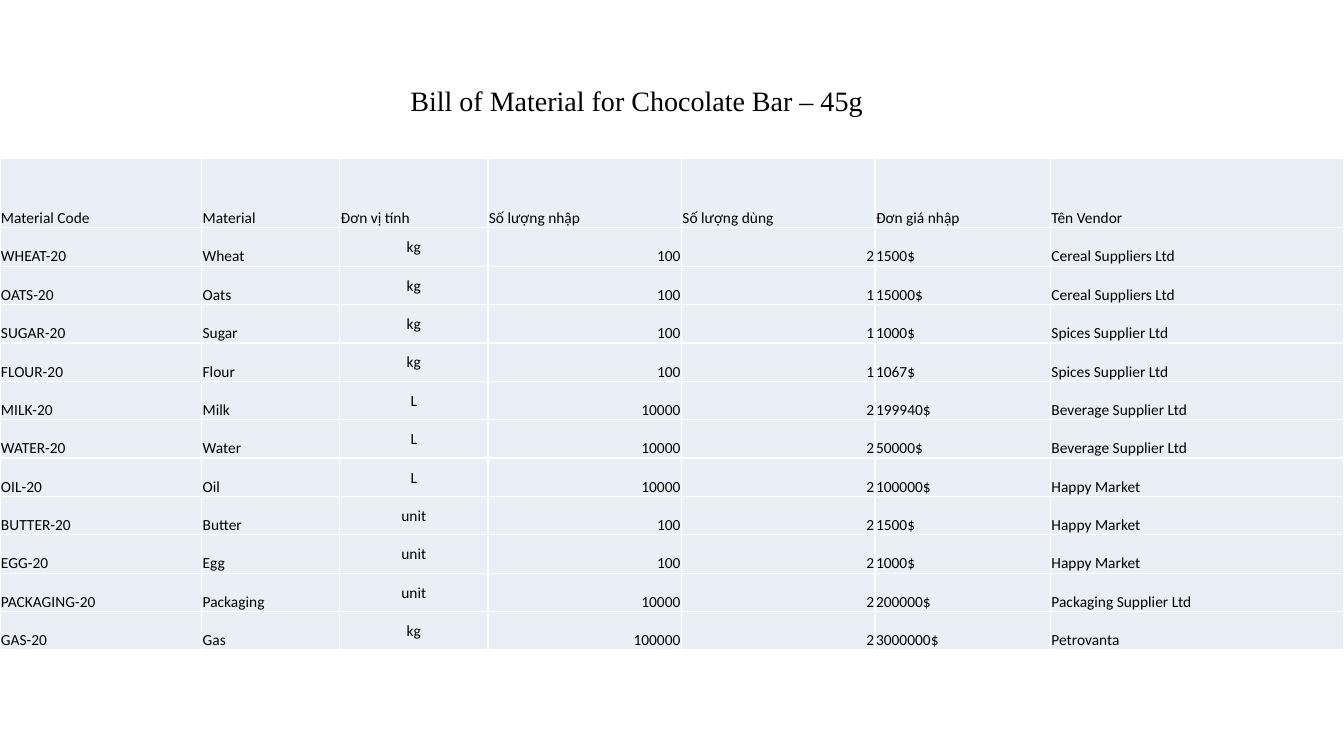
from lxml.etree import SubElement
from pptx import Presentation
from pptx.dml.color import RGBColor
from pptx.enum.text import MSO_ANCHOR, PP_ALIGN
from pptx.oxml.ns import qn
from pptx.util import Inches, Pt

TITLE = "Bill of Material for Chocolate Bar – 45g"
HEADER = ("Material Code", "Material", "Đơn vị tính", "Số lượng nhập",
          "Số lượng dùng", "Đơn giá nhập", "Tên Vendor")
MATERIALS = [
    ("WHEAT-20", "Wheat", "kg", "100", "2", "1500$", "Cereal Suppliers Ltd"),
    ("OATS-20", "Oats", "kg", "100", "1", "15000$", "Cereal Suppliers Ltd"),
    ("SUGAR-20", "Sugar", "kg", "100", "1", "1000$", "Spices Supplier Ltd"),
    ("FLOUR-20", "Flour", "kg", "100", "1", "1067$", "Spices Supplier Ltd"),
    ("MILK-20", "Milk", "L", "10000", "2", "199940$", "Beverage Supplier Ltd"),
    ("WATER-20", "Water", "L", "10000", "2", "50000$", "Beverage Supplier Ltd"),
    ("OIL-20", "Oil", "L", "10000", "2", "100000$", "Happy Market"),
    ("BUTTER-20", "Butter", "unit", "100", "2", "1500$", "Happy Market"),
    ("EGG-20", "Egg", "unit", "100", "2", "1000$", "Happy Market"),
    ("PACKAGING-20", "Packaging", "unit", "10000", "2", "200000$", "Packaging Supplier Ltd"),
    ("GAS-20", "Gas", "kg", "100000", "2", "3000000$", "Petrovanta"),
]
COLORS = {"text": "000000", "cell": "EAEFF7", "border": "FFFFFF"}
COLUMN_WIDTHS = (2, 1.37, 1.47, 1.92, 1.92, 1.74, 2.91)
TABLE_TOP, TABLE_HEIGHT, HEADER_HEIGHT = 1.57, 4.88, 0.69
UNIT_COLUMN = 2
COLUMN_ALIGNMENT = {UNIT_COLUMN: PP_ALIGN.CENTER, 3: PP_ALIGN.RIGHT, 4: PP_ALIGN.RIGHT}


def write_text(frame, text, *, font, size, align=PP_ALIGN.LEFT):
    para = frame.paragraphs[0]
    para.alignment = align
    span = para.add_run()
    span.text = text
    span.font.name = font
    span.font.size = Pt(size)
    span.font.color.rgb = RGBColor.from_string(COLORS["text"])


def add_borders(cell):
    properties = cell._tc.get_or_add_tcPr()
    for side in ("a:lnL", "a:lnR", "a:lnT", "a:lnB"):
        line = SubElement(properties, qn(side), w=str(Pt(1)))
        fill = SubElement(line, qn("a:solidFill"))
        SubElement(fill, qn("a:srgbClr"), val=COLORS["border"])


def format_cell(cell, anchor):
    add_borders(cell)
    cell.fill.solid()
    cell.fill.fore_color.rgb = RGBColor.from_string(COLORS["cell"])
    cell.margin_left = cell.margin_top = cell.margin_right = Inches(0.01)
    cell.margin_bottom = 0
    cell.vertical_anchor = anchor


def add_title(page):
    title = page.shapes.title
    title.left, title.top = Inches(3.97), Inches(0.78)
    title.width, title.height = Inches(4.72), Inches(0.44)
    title.text_frame.word_wrap = False
    title.text_frame.vertical_anchor = MSO_ANCHOR.TOP
    write_text(title.text_frame, TITLE, font="Times New Roman", size=20)


def add_material_table(page):
    rows = [HEADER, *MATERIALS]
    table = page.shapes.add_table(
        len(rows), len(HEADER), 0, Inches(TABLE_TOP),
        Inches(sum(COLUMN_WIDTHS)), Inches(TABLE_HEIGHT)).table
    table.first_row = table.horz_banding = False
    for column, width in zip(table.columns, COLUMN_WIDTHS):
        column.width = Inches(width)
    material_height = (TABLE_HEIGHT - HEADER_HEIGHT) / len(MATERIALS)
    for row_index, values in enumerate(rows):
        is_header = row_index == 0
        table.rows[row_index].height = Inches(HEADER_HEIGHT if is_header else material_height)
        for column_index, value in enumerate(values):
            cell = table.cell(row_index, column_index)
            is_unit = column_index == UNIT_COLUMN and not is_header
            format_cell(cell, MSO_ANCHOR.MIDDLE if is_unit else MSO_ANCHOR.BOTTOM)
            align = PP_ALIGN.LEFT if is_header else COLUMN_ALIGNMENT.get(column_index, PP_ALIGN.LEFT)
            write_text(cell.text_frame, value, font="Calibri", size=11, align=align)


def main():
    deck = Presentation()
    deck.slide_width, deck.slide_height = Inches(13.33), Inches(7.5)
    page = deck.slides.add_slide(deck.slide_layouts.get_by_name("Title Only"))
    add_material_table(page)
    add_title(page)
    deck.save("out.pptx")


if __name__ == "__main__":
    main()
